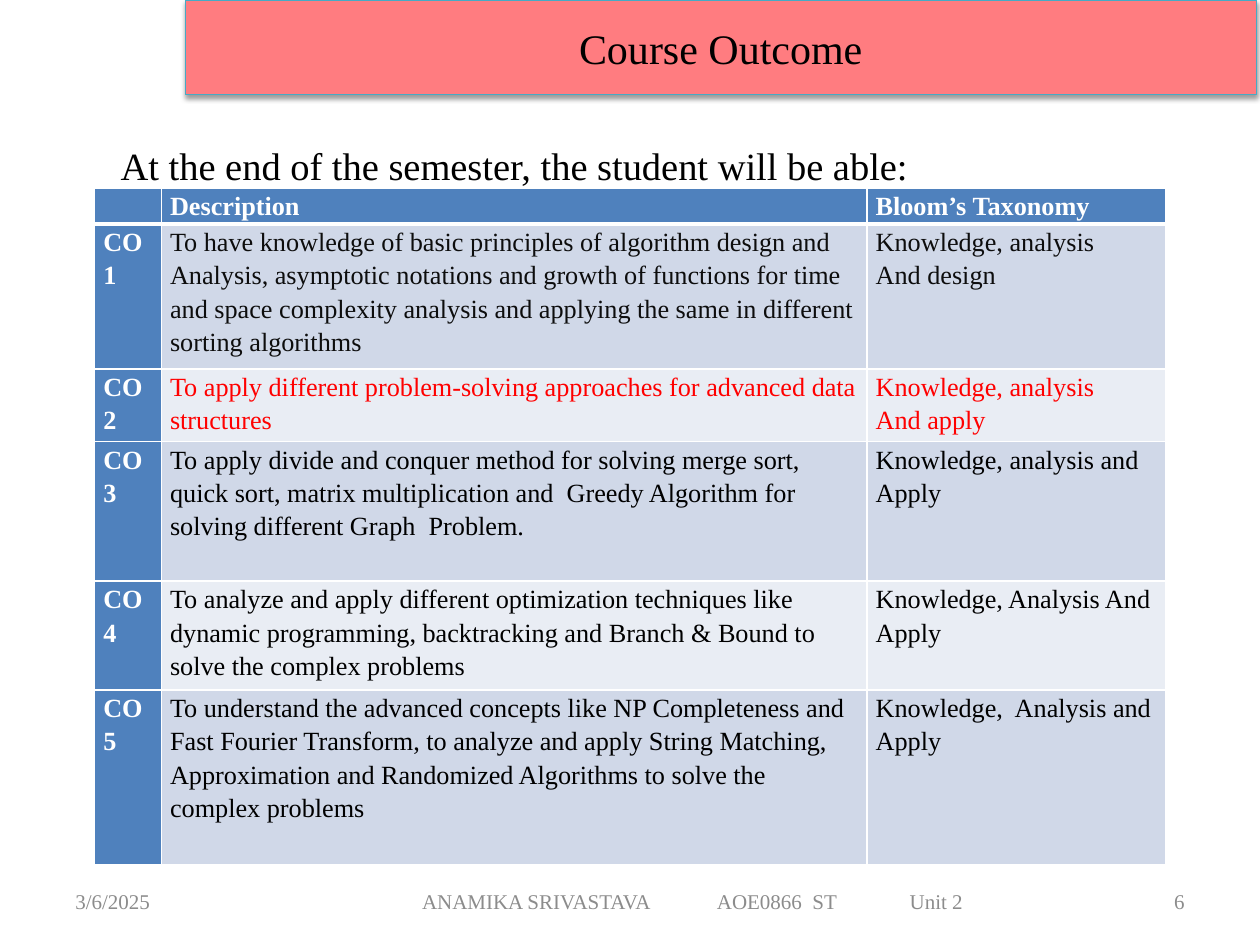
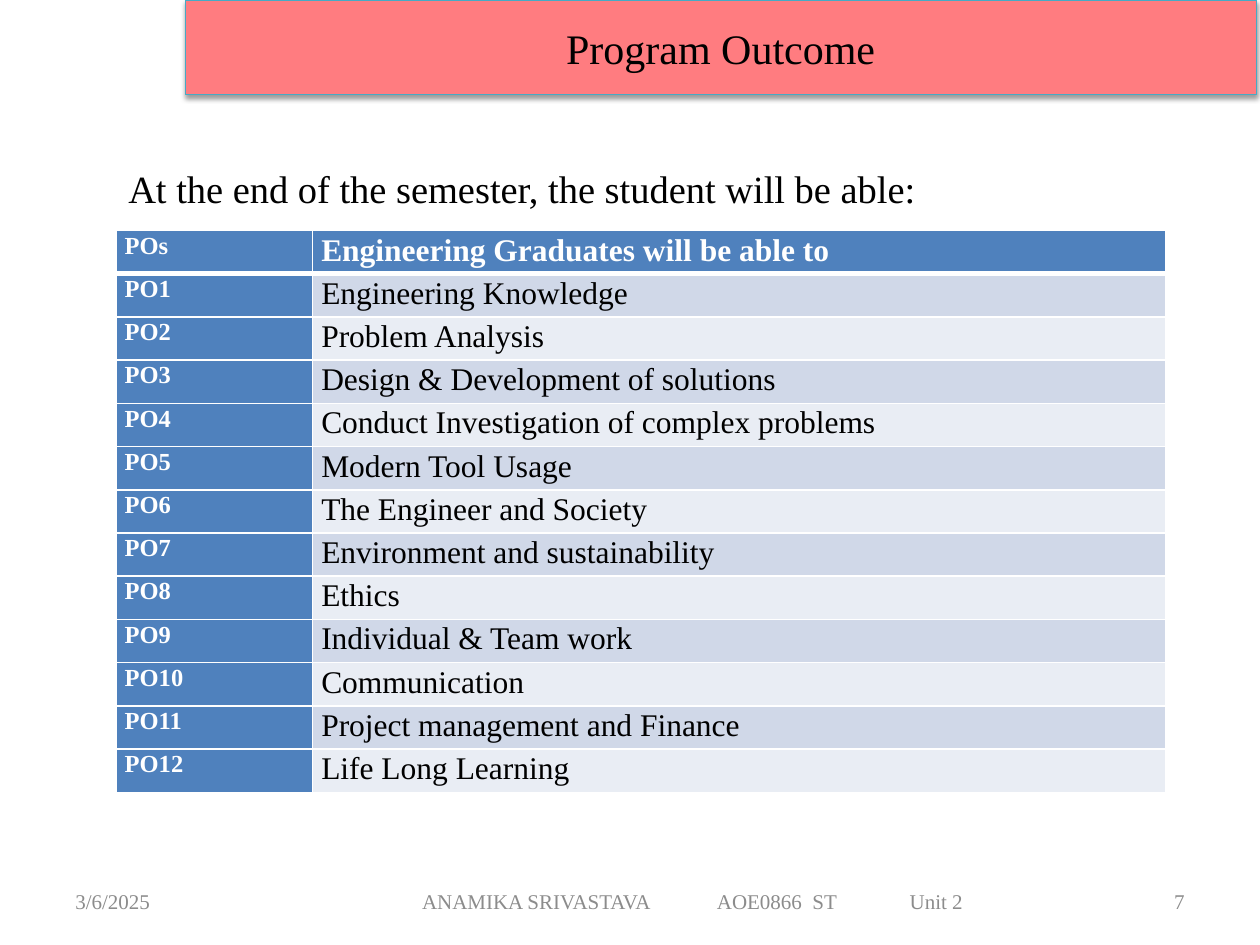
from pptx import Presentation
from pptx.dml.color import RGBColor
from pptx.enum.text import MSO_ANCHOR as Anchor, MSO_AUTO_SIZE as AutoSize, PP_ALIGN as Align
from pptx.oxml import parse_xml
from pptx.oxml.ns import nsdecls
from pptx.util import Emu, Inches, Pt

FONT = "Times New Roman"
COLORS = {
    "banner": "FF7C80", "banner_line": "46AAC5", "header": "4F81BD",
    "band_dark": "D0D8E8", "band_light": "E9EDF4", "white": "FFFFFF",
    "black": "000000", "near_black": "0D0D0D", "red": "FF0000", "footer": "8C8C8C",
}
TITLE_BOX = (1.47, 0, 8.5, 0.75)
FOOTER_TOP, FOOTER_HEIGHT = 6.95, 0.4
LEAD_IN = "At the end of the semester, the student will be able:"

COURSE_OUTCOMES = [
    ("", "Description", "Bloom’s Taxonomy"),
    ("CO1", "To have knowledge of basic principles of algorithm design and Analysis, "
     "asymptotic notations and growth of functions for time and space complexity analysis "
     "and applying the same in different sorting algorithms",
     "Knowledge, analysis\nAnd design"),
    ("CO2", "To apply different problem-solving approaches for advanced data structures",
     "Knowledge, analysis\nAnd apply"),
    ("CO3", "To apply divide and conquer method for solving merge sort, quick sort, "
     "matrix multiplication and  Greedy Algorithm for solving different Graph  Problem.",
     "Knowledge, analysis and Apply"),
    ("CO4", "To analyze and apply different optimization techniques like dynamic programming, "
     "backtracking and Branch & Bound to solve the complex problems",
     "Knowledge, Analysis And Apply"),
    ("CO5", "To understand the advanced concepts like NP Completeness and Fast Fourier "
     "Transform, to analyze and apply String Matching, Approximation and Randomized "
     "Algorithms to solve the complex problems",
     "Knowledge,  Analysis and Apply"),
]
PROGRAM_OUTCOMES = [
    "Engineering Knowledge", "Problem Analysis", "Design & Development of solutions",
    "Conduct Investigation of complex problems", "Modern Tool Usage",
    "The Engineer and Society", "Environment and sustainability", "Ethics",
    "Individual & Team work", "Communication", "Project management and Finance",
    "Life Long Learning",
]


def rgb(color):
    return RGBColor.from_string(COLORS[color])


def set_all(target, values):
    for name, value in values.items():
        setattr(target, name, value)


def write(frame, text, size, color, bold=False, **paragraph_format):
    """Fill a text frame, one paragraph per line of text."""
    frame.text = text
    for paragraph in frame.paragraphs:
        set_all(paragraph, paragraph_format)
        for run in paragraph.runs:
            set_all(run.font, {"name": FONT, "size": Pt(size), "bold": bold})
            run.font.color.rgb = rgb(color)
        if not paragraph.runs:
            paragraph._p.get_or_add_endParaRPr().set("sz", str(size * 100))


def add_text(slide, box, text, size, color, anchor=Anchor.TOP, **paragraph_format):
    frame = slide.shapes.add_textbox(*map(Inches, box)).text_frame
    set_all(frame, {"word_wrap": True, "vertical_anchor": anchor})
    write(frame, text, size, color, **paragraph_format)
    return frame


# Title band
def add_banner(slide, text, box):
    banner = slide.shapes.title
    set_all(banner, dict(zip(("left", "top", "width", "height"), map(Inches, box))))
    banner.fill.solid()
    banner.fill.fore_color.rgb = rgb("banner")
    banner.line.color.rgb = rgb("banner_line")
    banner.line.width = Pt(0.75)
    banner._element.spPr.append(parse_xml(
        f'<a:effectLst {nsdecls("a")}><a:outerShdw blurRad="{Pt(3.1)}" dist="{Pt(1.6)}" '
        f'dir="5400000" rotWithShape="0"><a:srgbClr val="{COLORS["black"]}">'
        '<a:alpha val="38000"/></a:srgbClr></a:outerShdw></a:effectLst>'))
    set_all(banner.text_frame, {"auto_size": AutoSize.NONE, "word_wrap": True,
                                "vertical_anchor": Anchor.MIDDLE})
    write(banner.text_frame, text, 24, "black", alignment=Align.CENTER)


# Date, course line and page number
def add_footer(slide, number, top, height):
    style = {"size": 12, "color": "footer", "anchor": Anchor.MIDDLE}
    add_text(slide, (0.5, top, 2.33, height), "3/6/2025", **style)
    course = add_text(slide, (2.75, top, 5.5, height),
                      "ANAMIKA SRIVASTAVA\tAOE0866  ST\tUnit 2", **style)
    course.margin_left = Inches(0.6)
    stops = "".join(f'<a:tab pos="{Inches(stop)}" algn="l"/>' for stop in (2.34, 3.87))
    course.paragraphs[0]._p.get_or_add_pPr().append(
        parse_xml(f'<a:tabLst {nsdecls("a")}>{stops}</a:tabLst>'))
    add_text(slide, (7.17, top, 2.33, height), str(number),
             alignment=Align.RIGHT, **style)


def add_borders(cell, row):
    """White grid, with a heavier rule under the header row."""
    widths = {"L": 1, "R": 1, "T": 3 if row == 1 else 1, "B": 3 if row == 0 else 1}
    for side, width in widths.items():
        cell._tc.get_or_add_tcPr().append(parse_xml(
            f'<a:ln{side} {nsdecls("a")} w="{Pt(width)}"><a:solidFill>'
            f'<a:srgbClr val="{COLORS["white"]}"/></a:solidFill></a:ln{side}>'))


# Outcome table: dark header row and label column, banded body
def add_outcome_table(slide, rows, corner, widths, heights, spacing, sizes, inks=None):
    """sizes holds the text size by column, inks the body colour by row."""
    frame = slide.shapes.add_table(
        len(rows), len(widths), *map(Inches, (*corner, sum(widths), sum(heights))))
    table = frame.table
    set_all(table, {"first_row": False, "horz_banding": False})
    for column, width in zip(table.columns, widths):
        column.width = Inches(width)
    for r, (texts, height) in enumerate(zip(rows, heights)):
        table.rows[r].height = Inches(height)
        for c, text in enumerate(texts):
            cell = table.cell(r, c)
            heading = r == 0 or c == 0
            band = "band_dark" if r % 2 else "band_light"
            ink = "white" if heading else (inks or {}).get(r, "black")
            set_all(cell, {"margin_left": Inches(0.07), "margin_right": Inches(0.07),
                           "margin_top": Emu(0), "margin_bottom": Emu(0)})
            add_borders(cell, r)
            cell.fill.solid()
            cell.fill.fore_color.rgb = rgb("header" if heading else band)
            write(cell.text_frame, text, sizes[c], ink, heading, line_spacing=spacing)


# One slide: banner, lead-in sentence, table, footer
def add_outcome_slide(deck, title, number, lead_in_corner, **table):
    slide = deck.slides.add_slide(deck.slide_layouts[5])
    add_banner(slide, title, TITLE_BOX)
    add_text(slide, (*lead_in_corner, 8.5, 0.5), LEAD_IN, 22, "black",
             line_spacing=1.15, space_after=Pt(10))
    add_outcome_table(slide, **table)
    add_footer(slide, number, FOOTER_TOP, FOOTER_HEIGHT)


def main():
    deck = Presentation()
    set_all(deck, {"slide_width": Inches(10), "slide_height": Inches(7.5)})

    add_outcome_slide(
        deck, "Course Outcome", 6, (0.86, 1.02), rows=COURSE_OUTCOMES,
        corner=(0.75, 1.49), widths=(0.53, 5.6, 2.37),
        heights=(0.28, 1.11, 0.55, 1.11, 0.83, 1.39), spacing=1.15,
        sizes=(15, 15, 15), inks={1: "near_black", 2: "red"})

    program_rows = [("POs", "Engineering Graduates will be able to")]
    program_rows += [(f"PO{n}", outcome) for n, outcome in enumerate(PROGRAM_OUTCOMES, 1)]
    add_outcome_slide(
        deck, "Program Outcome", 7, (0.92, 1.21), rows=program_rows,
        corner=(0.92, 1.83), widths=(1.56, 6.77),
        heights=[4.46 / len(program_rows)] * len(program_rows), spacing=1.07,
        sizes=(14, 18))

    deck.save("out.pptx")


if __name__ == "__main__":
    main()
